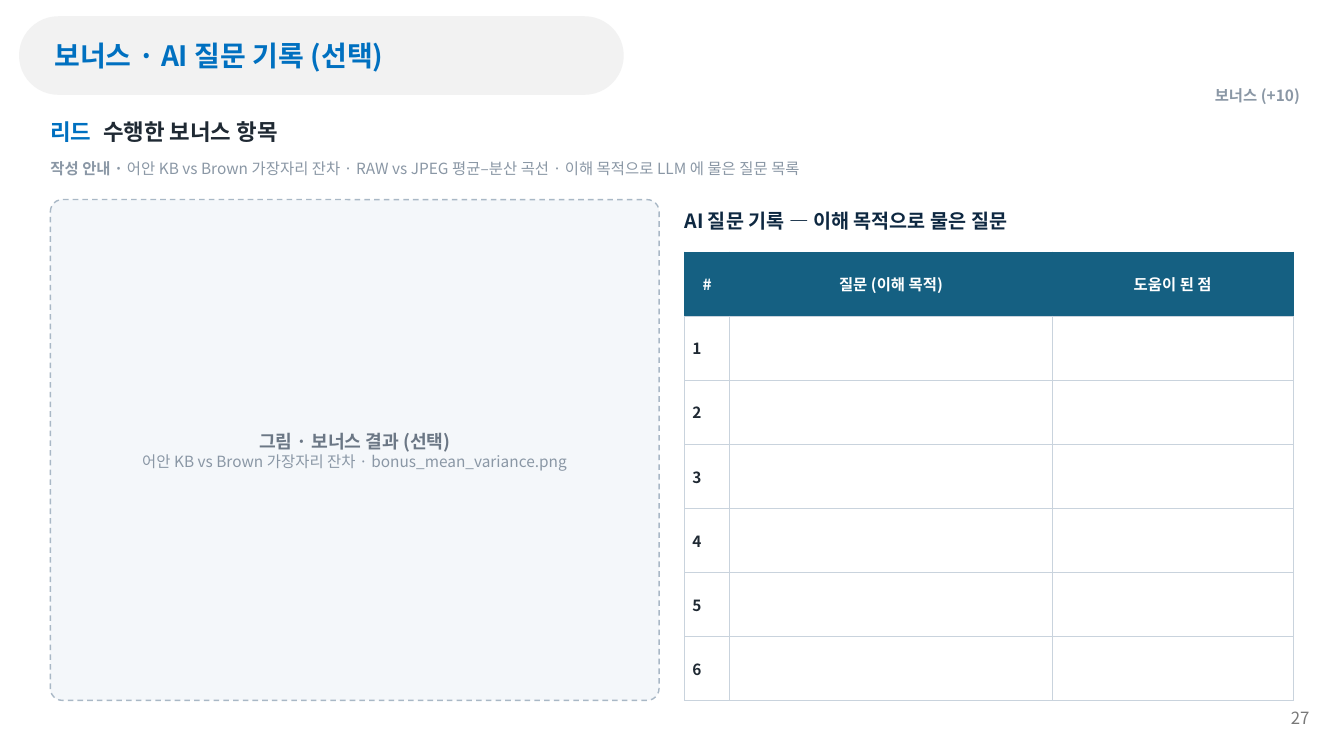
"""Build the bonus slide with a figure area and a question log table."""
from lxml.etree import SubElement
from pptx import Presentation
from pptx.dml.color import RGBColor
from pptx.enum.dml import MSO_LINE
from pptx.enum.shapes import MSO_SHAPE
from pptx.enum.text import MSO_ANCHOR, PP_ALIGN
from pptx.oxml import parse_xml
from pptx.oxml.ns import nsdecls, qn
from pptx.util import Cm, Pt

BLUE, NAVY, TEAL, INK = "0070C0", "0E2841", "156082", "1F2933"
MUTED, SLATE, GRID, WHITE = "8A97A5", "6B7785", "C9D3DD", "FFFFFF"
LEFT, RIGHT_COL, COL_W, BODY_TOP = 1.27, 17.25, 15.34, 5.03


def rgb(value):
    return RGBColor.from_string(value)


class SlideBuilder:
    def __init__(self, s, face):
        self.s = s
        self.face = face

    def add_runs(self, p, runs, align=PP_ALIGN.LEFT):
        p.alignment = align
        for text, size, color, bold in runs:
            r = p.add_run()
            r.text = text
            fmt = {"size": Pt(size), "bold": bold, "name": self.face}
            for key, value in fmt.items():
                setattr(r.font, key, value)
            r.font.color.rgb = rgb(color)
            SubElement(r.font._element, qn("a:ea"), typeface=self.face)

    def fill_frame(self, tf, paragraphs, align, insets):
        left, top, right, bottom = map(Cm, insets)
        fmt = {"word_wrap": True, "vertical_anchor": MSO_ANCHOR.MIDDLE,
               "margin_left": left, "margin_top": top,
               "margin_right": right, "margin_bottom": bottom}
        for key, value in fmt.items():
            setattr(tf, key, value)
        for i, runs in enumerate(paragraphs):
            p = tf.add_paragraph() if i else tf.paragraphs[0]
            self.add_runs(p, runs, align)

    def text(self, box, runs, align=PP_ALIGN.LEFT, insets=(0, 0, 0, 0), tab=None):
        tf = self.s.shapes.add_textbox(*map(Cm, box)).text_frame
        if tab:
            tabs = SubElement(tf.paragraphs[0]._p.get_or_add_pPr(), qn("a:tabLst"))
            SubElement(tabs, qn("a:tab"), pos=str(Cm(tab)), algn="l")
        self.fill_frame(tf, [runs], align, insets)

    def panel(self, box, radius, fill, paragraphs, align, insets, line=None):
        sp = self.s.shapes.add_shape(MSO_SHAPE.ROUNDED_RECTANGLE, *map(Cm, box))
        sp.shadow.inherit = False
        sp.adjustments[0] = radius
        sp.fill.solid()
        sp.fill.fore_color.rgb = rgb(fill)
        if line:
            sp.line.color.rgb = rgb(line)
            sp.line.width = Pt(1)
            sp.line.dash_style = MSO_LINE.DASH
        else:
            sp.line.fill.background()
        self.fill_frame(sp.text_frame, paragraphs, align, insets)

    def cell(self, cell, text, fill, color, border, align):
        fmt = {"vertical_anchor": MSO_ANCHOR.MIDDLE,
               "margin_left": Cm(0.2), "margin_right": Cm(0.2),
               "margin_top": Cm(0.08), "margin_bottom": Cm(0.08)}
        for key, value in fmt.items():
            setattr(cell, key, value)
        cell.fill.solid()
        cell.fill.fore_color.rgb = rgb(fill)
        if text:
            self.add_runs(cell.text_frame.paragraphs[0], [(text, 11, color, True)], align)
        tc_pr = cell._tc.get_or_add_tcPr()
        for i, side in enumerate("LRTB"):
            tc_pr.insert(i, parse_xml(
                f'<a:ln{side} {nsdecls("a")} w="{Pt(0.75)}"><a:solidFill>'
                f'<a:srgbClr val="{border}"/></a:solidFill></a:ln{side}>'))

    def table(self, box, widths, header, rows):
        table = self.s.shapes.add_table(
            len(rows) + 1, len(header), *map(Cm, box)).table
        for column, width in zip(table.columns, widths):
            column.width = Cm(width)
        for i, values in enumerate([header, *rows]):
            table.rows[i].height = Cm(box[3] / (len(rows) + 1))
            if i:
                style = (WHITE, INK, GRID, PP_ALIGN.LEFT)
            else:
                style = (TEAL, WHITE, TEAL, PP_ALIGN.CENTER)
            for j, value in enumerate(values):
                self.cell(table.cell(i, j), value, *style)


def main():
    prs = Presentation()
    prs.slide_width, prs.slide_height = Cm(33.87), Cm(19.05)
    b = SlideBuilder(prs.slides.add_slide(prs.slide_layouts[6]), "Noto Sans CJK KR")

    b.panel((0.48, 0.41, 15.24, 1.98), 0.5, "F2F2F2",
            [[("보너스 · AI 질문 기록 (선택)", 20, BLUE, True)]],
            PP_ALIGN.LEFT, (0.6, 0.13, 0.25, 0.13))
    b.text((32.11, 17.58, 1.14, 1.02), [("27", 12, "797979", False)],
           PP_ALIGN.RIGHT, (0.25, 0.13, 0.25, 0.13))
    b.text((24, 2.03, 8.76, 0.76), [("보너스 (+10)", 11, MUTED, True)], PP_ALIGN.RIGHT)
    b.text((LEFT, 2.79, 31.32, 1.07),
           [("리드\t", 16, BLUE, True), ("수행한 보너스 항목", 16, INK, True)], tab=1.33)
    b.text((LEFT, 3.81, 31.32, 0.86),
           [("작성 안내 · ", 11, MUTED, True),
            ("어안 KB vs Brown 가장자리 잔차 · RAW vs JPEG 평균–분산 곡선 · "
             "이해 목적으로 LLM 에 물은 질문 목록", 11, MUTED, False)])
    b.panel((LEFT, BODY_TOP, COL_W, 12.62), 0.024, "F4F7FA",
            [[("그림 · 보너스 결과 (선택)", 13, SLATE, True)],
             [("어안 KB vs Brown 가장자리 잔차 · bonus_mean_variance.png",
               11, MUTED, False)]],
            PP_ALIGN.CENTER, (0.3, 0.3, 0.3, 0.3), "A9B8C6")
    b.text((RIGHT_COL, BODY_TOP, COL_W, 1.07),
           [("AI 질문 기록 — 이해 목적으로 물은 질문", 14, NAVY, True)])
    b.table((RIGHT_COL, 6.35, COL_W, 11.3), (1.14, 8.13, 6.07),
            ("#", "질문 (이해 목적)", "도움이 된 점"),
            [(str(n), "", "") for n in range(1, 7)])

    prs.save("out.pptx")


if __name__ == "__main__":
    main()
